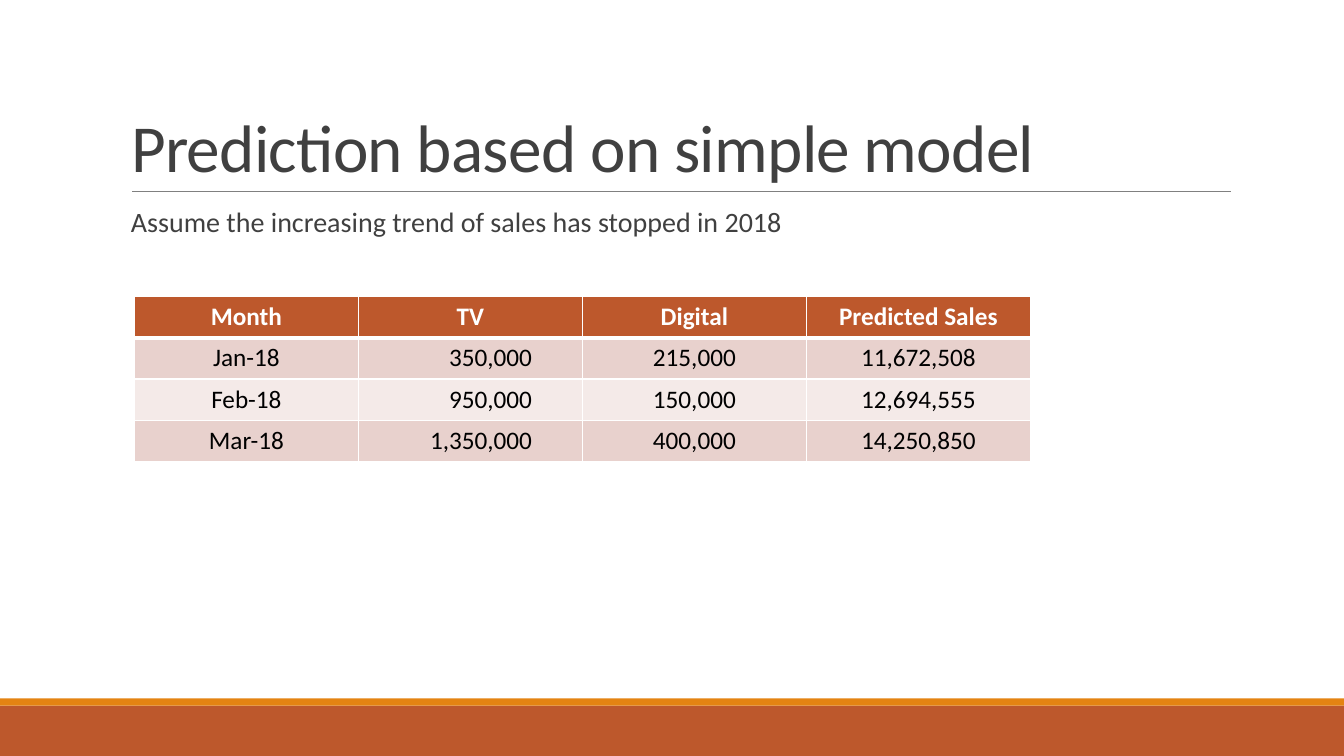
from lxml.etree import SubElement
from pptx import Presentation
from pptx.dml.color import RGBColor
from pptx.enum.shapes import MSO_CONNECTOR, MSO_SHAPE
from pptx.enum.text import MSO_ANCHOR, MSO_AUTO_SIZE, PP_ALIGN
from pptx.oxml import parse_xml
from pptx.oxml.ns import nsdecls, qn
from pptx.util import Inches, Pt

RUST, ORANGE, GRAY, CHARCOAL = "BD582C", "E48312", "808080", "404040"
WHITE, BLACK = "FFFFFF", "000000"
BANDS = ("E8D1CD", "F4EAE8")
HEADINGS = ("Month", "TV", "Digital", "Predicted Sales")
PREDICTIONS = (
    ("Jan-18", "350,000", "215,000", "11,672,508"),
    ("Feb-18", "950,000", "150,000", "12,694,555"),
    ("Mar-18", "1,350,000", "400,000", "14,250,850"),
)
RIGHT_MARGINS = {1: 4.5, 2: 6.3}


def color(value):
    """Turn a hex string into a colour."""
    return RGBColor.from_string(value)


def assign(target, values):
    """Set each named attribute on the target."""
    for name, value in values.items():
        setattr(target, name, value)


class SlideBuilder:
    """Hold the style and slide, on a grid of 120 columns and 75 rows."""

    font_name = "Calibri"

    def __init__(self, presentation):
        """Add a title-only slide and measure the grid."""
        self.column = presentation.slide_width / 120
        self.row = presentation.slide_height / 75
        self.slide = presentation.slides.add_slide(presentation.slide_layouts[5])

    def box(self, left, top, width, height):
        """Convert grid units to slide lengths."""
        return (round(left * self.column), round(top * self.row),
                round(width * self.column), round(height * self.row))

    def add_text(self, paragraph, text, size, ink, bold=False, **layout):
        """Add one formatted run to a paragraph and return it."""
        assign(paragraph, layout)
        run = paragraph.add_run()
        run.text = text
        assign(run.font, {"name": self.font_name, "size": Pt(size), "bold": bold})
        run.font.color.rgb = color(ink)
        return run

    def band(self, area, fill):
        """Draw a plain rectangle."""
        shape = self.slide.shapes.add_shape(MSO_SHAPE.RECTANGLE, *self.box(*area))
        shape.shadow.inherit = False
        shape.fill.solid()
        shape.fill.fore_color.rgb = color(fill)
        shape.line.fill.background()

    def rule(self, left, right, top, ink):
        """Draw a thin horizontal line."""
        x, y, width, _ = self.box(left, top, right - left, 0)
        line = self.slide.shapes.add_connector(
            MSO_CONNECTOR.STRAIGHT, x, y, x + width, y)
        line.line.color.rgb = color(ink)
        line.line.width = Pt(0.5)
        SubElement(line._element.spPr, qn("a:effectLst"))

    def title(self, area, text):
        """Place and fill the title."""
        shape = self.slide.shapes.title
        assign(shape, dict(zip(("left", "top", "width", "height"), self.box(*area))))
        assign(shape.text_frame, {"word_wrap": True, "auto_size": MSO_AUTO_SIZE.NONE,
                                  "vertical_anchor": MSO_ANCHOR.BOTTOM})
        run = self.add_text(shape.text_frame.paragraphs[0], text, 48, CHARCOAL,
                            alignment=PP_ALIGN.LEFT, line_spacing=0.85)
        run.font._element.set("spc", "-50")

    def body(self, area, text):
        """Add a text box of body text."""
        frame = self.slide.shapes.add_textbox(*self.box(*area)).text_frame
        assign(frame, {"word_wrap": True, "margin_left": Inches(0.1), "margin_right": 0})
        self.add_text(frame.paragraphs[0], text, 20, CHARCOAL,
                      line_spacing=0.9, space_after=Pt(2))

    def borders(self, cell, top, bottom):
        """Outline a cell in white with the given top and bottom widths."""
        properties = cell._tc.get_or_add_tcPr()
        widths = {"lnL": 1, "lnR": 1, "lnT": top, "lnB": bottom}
        for index, (side, width) in enumerate(widths.items()):
            properties.insert(index, parse_xml(
                f'<a:{side} {nsdecls("a")} w="{Pt(width)}"><a:solidFill>'
                f'<a:srgbClr val="{WHITE}"/></a:solidFill></a:{side}>'))

    def cell(self, cell, text, row, column):
        """Fill and format one table cell."""
        heading = row == 0
        cell.fill.solid()
        cell.fill.fore_color.rgb = color(RUST if heading else BANDS[(row - 1) % 2])
        cell.vertical_anchor = MSO_ANCHOR.MIDDLE
        alignment = PP_ALIGN.CENTER
        if not heading and column in RIGHT_MARGINS:
            alignment = PP_ALIGN.RIGHT
            cell.margin_right = round(RIGHT_MARGINS[column] * self.column)
        self.add_text(cell.text_frame.paragraphs[0], text, 18,
                      WHITE if heading else BLACK, heading, alignment=alignment)
        self.borders(cell, 3 if row == 1 else 1, 3 if heading else 1)

    def table(self, area, rows):
        """Add a table of equal rows and columns."""
        frame = self.slide.shapes.add_table(len(rows), len(rows[0]), *self.box(*area))
        for row, values in enumerate(rows):
            for column, text in enumerate(values):
                self.cell(frame.table.cell(row, column), text, row, column)


def main():
    """Build and save the prediction slide."""
    presentation = Presentation()
    assign(presentation, {"slide_width": Inches(13.33), "slide_height": Inches(7.5)})
    builder = SlideBuilder(presentation)
    builder.band((0, 70, 120, 5), RUST)
    builder.band((0, 69.3, 120, 0.7), ORANGE)
    builder.rule(11.8, 109.9, 19, GRAY)
    builder.title((10.8, 3.1, 99, 15.9), "Prediction based on simple model")
    builder.body((10.8, 20.2, 99, 44),
                 "Assume the increasing trend of sales has stopped in 2018")
    builder.table((12, 29.4, 80, 16.4), (HEADINGS, *PREDICTIONS))
    presentation.save("out.pptx")


if __name__ == "__main__":
    main()
